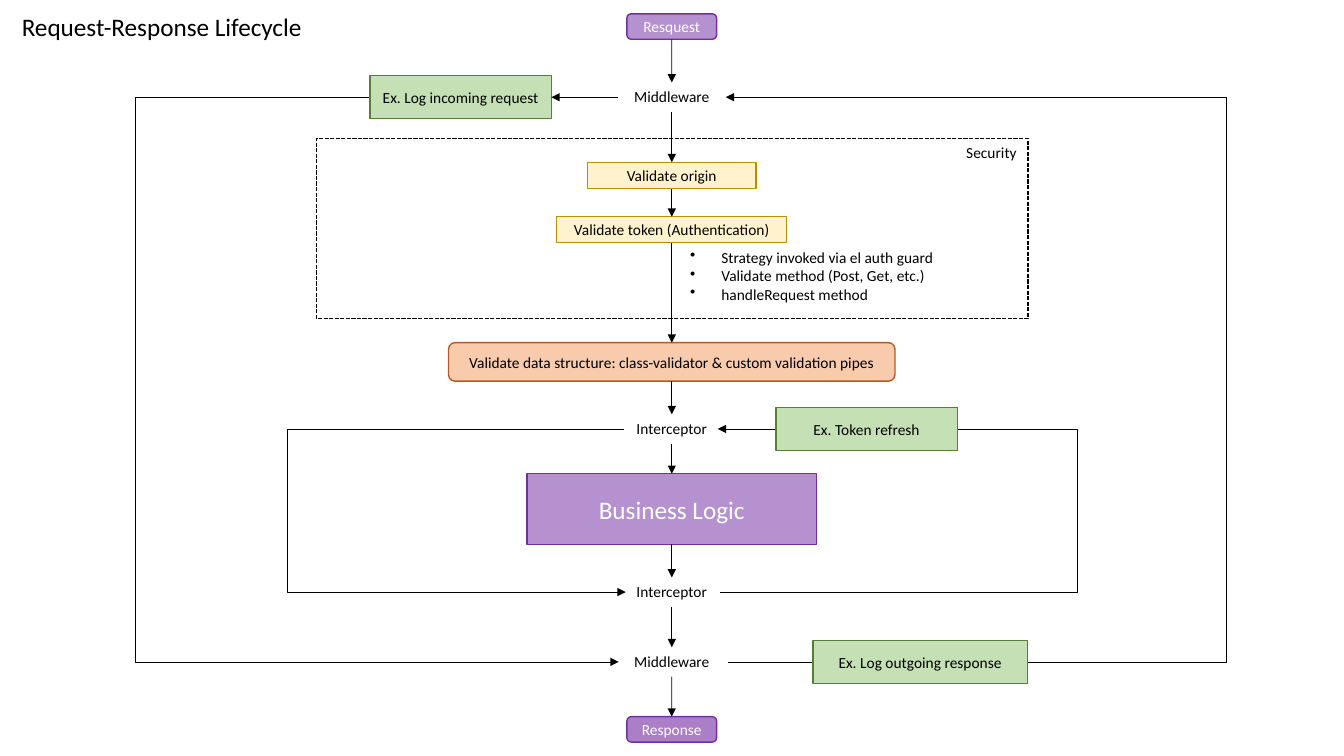
import pptx
import pptx.dml.color
import pptx.enum.dml
import pptx.enum.shapes
import pptx.enum.text
import pptx.oxml
import pptx.oxml.ns
import pptx.util

Cm, Pt = pptx.util.Cm, pptx.util.Pt
RGBColor = pptx.dml.color.RGBColor
SHAPE = pptx.enum.shapes.MSO_SHAPE
CONNECTOR = pptx.enum.shapes.MSO_CONNECTOR
ALIGN = pptx.enum.text.PP_ALIGN
ANCHOR = pptx.enum.text.MSO_ANCHOR

BLACK = RGBColor(0x00, 0x00, 0x00)
WHITE = RGBColor(0xFF, 0xFF, 0xFF)
LILAC = RGBColor(0xB6, 0x91, 0xCF)
DEEP_LILAC = RGBColor(0xAA, 0x7F, 0xC7)
PURPLE = RGBColor(0x70, 0x30, 0xA0)
PALE_GREEN = RGBColor(0xC5, 0xE0, 0xB4)
GREEN = RGBColor(0x53, 0x80, 0x35)
CREAM = RGBColor(0xFF, 0xF2, 0xCC)
GOLD = RGBColor(0xBD, 0x8E, 0x00)
PEACH = RGBColor(0xF8, 0xCB, 0xAD)
RUST = RGBColor(0xAF, 0x5C, 0x24)

TOP, LEFT, BOTTOM, RIGHT = range(4)
SPINE_X = 16.93


class Diagram:
    def __init__(self, slide):
        self.shapes = slide.shapes
        self.font = {"name": "Calibri", "size": Pt(11)}

    def fill_text(self, frame, lines, align, ink=BLACK, **changes):
        frame.word_wrap = True
        for number, line in enumerate(lines):
            paragraph = frame.paragraphs[0] if number == 0 else frame.add_paragraph()
            paragraph.alignment = align
            run = paragraph.add_run()
            run.text = line
            for key, value in {**self.font, **changes}.items():
                setattr(run.font, key, value)
            run.font.color.rgb = ink

    def box(self, text, x, y, width, height, fill, line, kind=SHAPE.RECTANGLE, **changes):
        """Draw a box centred on x, y; without a fill it is a dashed frame."""
        box = self.shapes.add_shape(
            kind, Cm(x - width / 2), Cm(y - height / 2), Cm(width), Cm(height))
        box.shadow.inherit = False
        box.line.color.rgb = line
        box.line.width = Pt(1)
        if fill is None:
            box.fill.background()
            box.line.dash_style = pptx.enum.dml.MSO_LINE.SQUARE_DOT
            return box
        box.fill.solid()
        box.fill.fore_color.rgb = fill
        box.text_frame.vertical_anchor = ANCHOR.MIDDLE
        self.fill_text(box.text_frame, [text], ALIGN.CENTER, **changes)
        return box

    def label(self, lines, left, top, width, height, align=ALIGN.LEFT, **changes):
        label = self.shapes.add_textbox(Cm(left), Cm(top), Cm(width), Cm(height))
        self.fill_text(label.text_frame, lines, align, **changes)
        return label

    def bullets(self, lines, *place):
        for paragraph in self.label(lines, *place).text_frame.paragraphs:
            properties = paragraph._p.get_or_add_pPr()
            properties.set("marL", str(Cm(0.79)))
            properties.set("indent", str(-Cm(0.79)))
            bullet = pptx.oxml.parse_xml(
                f'<a:buChar {pptx.oxml.ns.nsdecls("a")} char="•"/>')
            properties.append(bullet)

    def finish(self, connector, end):
        """Style a connector and put its arrowhead on headEnd or tailEnd."""
        connector.line.color.rgb = BLACK
        connector.line.width = Pt(0.5)
        namespace = pptx.oxml.ns.nsdecls("a")
        connector.line._get_or_add_ln().append(
            pptx.oxml.parse_xml(f'<a:{end} {namespace} type="triangle"/>'))
        connector._element.spPr.append(
            pptx.oxml.parse_xml(f"<a:effectLst {namespace}/>"))

    def arrow(self, source, source_side, target, target_side):
        arrow = self.shapes.add_connector(CONNECTOR.STRAIGHT, 0, 0, 0, 0)
        arrow.begin_connect(source, source_side)
        arrow.end_connect(target, target_side)
        self.finish(arrow, "tailEnd")

    def loop(self, upper, lower, bend, end):
        """Join two points by way of a vertical run at x = bend."""
        loop = self.shapes.add_connector(CONNECTOR.ELBOW, *map(Cm, upper + lower))
        ratio = round((bend - upper[0]) / (lower[0] - upper[0]) * 100000)
        geometry = loop._element.spPr.find(pptx.oxml.ns.qn("a:prstGeom"))
        for old in list(geometry):
            geometry.remove(old)
        geometry.append(pptx.oxml.parse_xml(
            f'<a:avLst {pptx.oxml.ns.nsdecls("a")}>'
            f'<a:gd name="adj1" fmla="val {ratio}"/></a:avLst>'))
        self.finish(loop, end)


def main():
    deck = pptx.Presentation()
    deck.slide_width, deck.slide_height = Cm(33.87), Cm(19.05)
    diagram = Diagram(deck.slides.add_slide(deck.slide_layouts[6]))

    diagram.label(["Request-Response Lifecycle"], 0.3, 0.15, 7.8, 1.02, size=Pt(18))
    diagram.box("", SPINE_X + 0.01, 5.76, 17.93, 4.55, None, BLACK)
    diagram.label(["Security"], 24.1, 3.48, 2, 0.74)
    diagram.bullets(
        ["Strategy invoked via el auth guard", "Validate method (Post, Get, etc.)",
         "handleRequest method"], 17.14, 6.12, 6.9, 2.44)

    for upper, lower, bend, end in [
        ((9.32, 2.45), (15.59, 16.68), 3.42, "tailEnd"),
        ((15.72, 10.81), (15.77, 14.92), 7.24, "tailEnd"),
        ((18.09, 10.81), (18.14, 14.92), 27.16, "headEnd"),
        ((18.29, 2.45), (18.34, 16.68), 30.9, "headEnd"),
    ]:
        diagram.loop(upper, lower, bend, end)

    pill = {"kind": SHAPE.ROUNDED_RECTANGLE, "ink": WHITE}
    steps = []
    for text, y, width, height, fill, line, look in [
        ("Resquest", 0.67, 2.26, 0.64, LILAC, PURPLE, pill),
        ("Middleware", 2.45, 2.69, 0.74, None, None, {}),
        ("Validate origin", 4.42, 4.25, 0.66, CREAM, GOLD, {}),
        ("Validate token (Authentication)", 5.79, 5.8, 0.66, CREAM, GOLD, {}),
        ("Validate data structure: class-validator & custom validation pipes",
         9.12, 11.25, 0.97, PEACH, RUST, {"kind": SHAPE.ROUNDED_RECTANGLE}),
        ("Interceptor", 10.81, 2.32, 0.74, None, None, {}),
        ("Business Logic", 12.83, 7.29, 1.78, LILAC, PURPLE, {"ink": WHITE, "size": Pt(18)}),
        ("Interceptor", 14.92, 2.32, 0.74, None, None, {}),
        ("Middleware", 16.68, 2.69, 0.74, None, None, {}),
        ("Response", 18.38, 2.26, 0.64, DEEP_LILAC, PURPLE, pill),
    ]:
        if fill is None:
            step = diagram.label([text], SPINE_X - width / 2, y - height / 2,
                                 width, height, ALIGN.CENTER)
        else:
            step = diagram.box(text, SPINE_X, y, width, height, fill, line, **look)
        steps.append(step)
    for step, following in zip(steps, steps[1:]):
        diagram.arrow(step, BOTTOM, following, TOP)

    log_incoming, *_ = [
        diagram.box(text, x, y, width, 1.08, PALE_GREEN, GREEN)
        for text, x, y, width in [
            ("Ex. Log incoming request", 11.61, 2.45, 4.57),
            ("Ex. Token refresh", 21.84, 10.81, 4.57),
            ("Ex. Log outgoing response", 23.19, 16.68, 5.4),
        ]
    ]
    diagram.arrow(steps[1], LEFT, log_incoming, RIGHT)

    deck.save("out.pptx")


if __name__ == "__main__":
    main()
